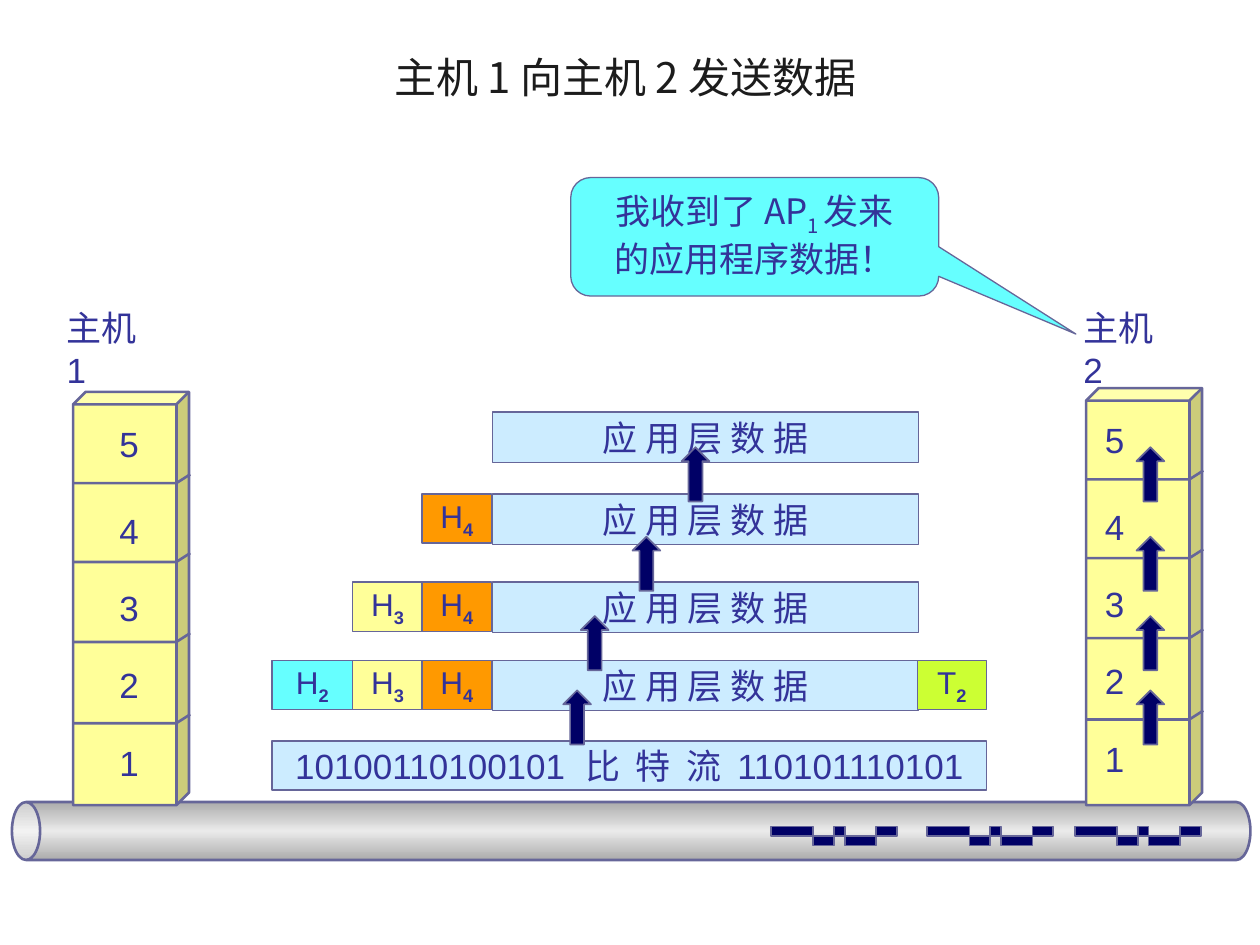
from collections import namedtuple
from copy import deepcopy

from lxml import etree
from pptx import Presentation
from pptx import util as u
from pptx.dml.color import RGBColor
from pptx.enum import shapes, text
from pptx.oxml.ns import qn

# The page is a grid of 100 columns by 75 rows of square cells.
CELL = u.Inches(0.1)
Box = namedtuple("Box", "left top width height")
KIND = shapes.MSO_SHAPE
ALIGN = text.PP_ALIGN
ANCHOR = text.MSO_ANCHOR

OUTLINE, INK, NAVY = "666699", "333399", "000066"
YELLOW, ORANGE, CYAN, LIME, PALE = "FFFF99", "FF9900", "66FFFF", "CCFF33", "CCECFF"
CJK = "Noto Sans CJK SC"
BODY = {"size": u.Pt(20), "name": "Arial"}
SUBSCRIPT = "-25000"

HEADERS = {
    "H2": (21.6, 6.4, CYAN),
    "H3": (28, 5.5, YELLOW),
    "H4": (33.5, 5.5, ORANGE),
    "T2": (72.8, 5.5, LIME),
}
DATA_ROWS = [
    (32.7, []),
    (39.2, ["H4"]),
    (46.2, ["H3", "H4"]),
    (52.4, ["H2", "H3", "H4", "T2"]),
]
ARROWS = [(44.7, 54.8), (46.1, 48.9), (50.2, 42.6), (54.1, 35.5)]
ARROW_COLUMN = 90.2


def cells(*counts):
    return [round(count * CELL) for count in counts]


def color(code):
    return RGBColor.from_string(code)


def outline(shape, width, fill=None):
    shape.shadow.inherit = False
    shape.line.color.rgb = color(OUTLINE)
    shape.line.width = u.Pt(width)
    if fill:
        shape.fill.solid()
        shape.fill.fore_color.rgb = color(fill)
    else:
        shape.fill.background()


def write(shape, paragraphs, form, ink=INK, align=ALIGN.CENTER,
          anchor=ANCHOR.MIDDLE, wrap=False):
    """Fill a shape with paragraphs, each a list of (text, changes) spans."""
    frame = shape.text_frame
    frame.word_wrap = wrap
    frame.vertical_anchor = anchor
    for index, spans in enumerate(paragraphs):
        para = frame.add_paragraph() if index else frame.paragraphs[0]
        para.alignment = align
        for words, changes in spans:
            span = para.add_run()
            span.text = words
            span.font.color.rgb = color(ink)
            values = {**form, **changes}
            baseline = values.pop("baseline", None)
            for key, value in values.items():
                setattr(span.font, key, value)
            properties = span._r.get_or_add_rPr()
            if baseline:
                properties.set("baseline", baseline)
            etree.SubElement(properties, qn("a:ea")).set("typeface", CJK)


def add_preset(page, kind, box, width, fill):
    shape = page.shapes.add_shape(kind, *cells(*box))
    outline(shape, width, fill)
    return shape


def add_label(page, box, spans, form=BODY, **options):
    write(page.shapes.add_textbox(*cells(*box)), [spans], form, **options)


def add_outline(page, points, closed, width, fill=None):
    points = [cells(*point) for point in points]
    builder = page.shapes.build_freeform(*points[0])
    builder.add_line_segments(points[1:], close=closed)
    outline(builder.convert_to_shape(), width, fill)


def add_pipe(page, box):
    """Lay a can on its side so that it fills the box."""
    left = box.left + (box.width - box.height) / 2
    top = box.top - (box.width - box.height) / 2
    pipe = add_preset(page, KIND.CAN, Box(left, top, box.height, box.width), 1.5, None)
    pipe.rotation = 270
    pipe.adjustments[0] = 0.487
    pipe.fill.gradient()
    pipe.fill.gradient_angle = 0
    stop_list = pipe.element.spPr.find(".//" + qn("a:gsLst"))
    stop_list.append(deepcopy(stop_list[0]))
    shades = [(0, "ACACAC"), (0.5, "EAEAEA"), (1, "ACACAC")]
    for stop, (position, shade) in zip(pipe.fill.gradient_stops, shades):
        stop.position = position
        stop.color.rgb = color(shade)


def add_host(page, box, number, digit_left, label_left):
    """Draw the five layers of a host, with its name above them."""
    tower = add_preset(page, KIND.CUBE, box, 1.5, YELLOW)
    tower.adjustments[0] = 0.108
    for digit, offset in zip("54321", (1.95, 8.85, 14.95, 21.05, 27.25)):
        add_label(page, Box(box.left + digit_left, box.top + offset, 3.6, 4.3),
                  [(digit, {})], align=ALIGN.LEFT, anchor=ANCHOR.TOP)
    for offset in (7.25, 13.5, 19.85, 26.3):
        seam = box.top + offset
        add_outline(page, [(box.left, seam), (box.left + 8.2, seam),
                           (box.left + 9.3, seam - 0.7)], False, 1.5)
    add_label(page, Box(label_left, 23.8, 9, 4.3),
              [("主机", {}), (" ", {"size": u.Pt(10)}), (number, {})],
              align=ALIGN.LEFT, anchor=ANCHOR.TOP, wrap=True)


def add_data_row(page, box, headers):
    data = add_preset(page, KIND.RECTANGLE, box, 0.75, PALE)
    write(data, [[("应 用 层 数 据", {})]], {**BODY, "name": "Cabin"})
    for name in headers:
        left, width, fill = HEADERS[name]
        header = add_preset(page, KIND.RECTANGLE, Box(left, box.top, width, 3.9), 0.75, fill)
        write(header, [[(name[0], {}), (name[1], {"bold": True, "baseline": SUBSCRIPT})]],
              {**BODY, "size": u.Pt(18)})


def add_bit_stream(page, box):
    stream = add_preset(page, KIND.RECTANGLE, box, 0.75, PALE)
    write(stream, [[("10100110100101  比  特  流  110101110101", {})]], BODY)


def add_signal(page, box):
    """Draw a train of pulses about the middle line of the box."""
    middle, bottom = box.top + box.height / 2, box.top + box.height
    edges = [box.left + box.width * share for share in (0, 0.335, 0.5, 0.585, 0.835, 1)]
    points = [(box.left, middle)]
    for index, (start, end) in enumerate(zip(edges, edges[1:])):
        level = bottom if index % 2 else box.top
        points += [(start, level), (end, level)]
    points.append((edges[-1], middle))
    add_outline(page, points, True, 1, NAVY)


def add_callout(page, box):
    callout = add_preset(page, KIND.ROUNDED_RECTANGULAR_CALLOUT, box, 0.75, CYAN)
    for index, value in enumerate((0.873, 0.821, 0.167)):
        callout.adjustments[index] = value
    write(callout,
          [[("我收到了 AP", {}), ("1 ", {"baseline": SUBSCRIPT}), ("发来", {})],
           [("的应用程序数据！", {})]],
          {**BODY, "name": CJK}, anchor=ANCHOR.TOP, wrap=True)


def add_up_arrow(page, box):
    arrow = add_preset(page, KIND.UP_ARROW, box, 1, NAVY)
    arrow.adjustments[1] = 0.504


def main():
    deck = Presentation()
    deck.slide_width, deck.slide_height = cells(100, 75)
    page = deck.slides.add_slide(deck.slide_layouts[6])

    add_label(page, Box(5, 3, 90, 6.1), [("主机 1 向主机 2 发送数据 ", {})],
              {"size": u.Pt(24), "name": CJK}, ink="1C1C1C", wrap=True)
    add_pipe(page, Box(0.95, 63.65, 98.3, 4.6))
    add_host(page, Box(5.8, 31.1, 9.2, 32.8), "1", 2.7, 4.3)
    add_host(page, Box(86.2, 30.8, 9.2, 33.1), "2", 0.5, 85)
    for top, headers in DATA_ROWS:
        add_data_row(page, Box(39.1, top, 33.8, 4), headers)
    add_bit_stream(page, Box(21.6, 58.8, 56.7, 3.9))
    for left in (61.2, 73.6, 85.3):
        add_signal(page, Box(left, 65.6, 10, 1.5))
    add_callout(page, Box(45.3, 14.1, 29.2, 9.4))
    for left, top in ARROWS:
        for column in (ARROW_COLUMN, left):
            add_up_arrow(page, Box(column, top, 2.2, 4.3))

    deck.save("out.pptx")


if __name__ == "__main__":
    main()
